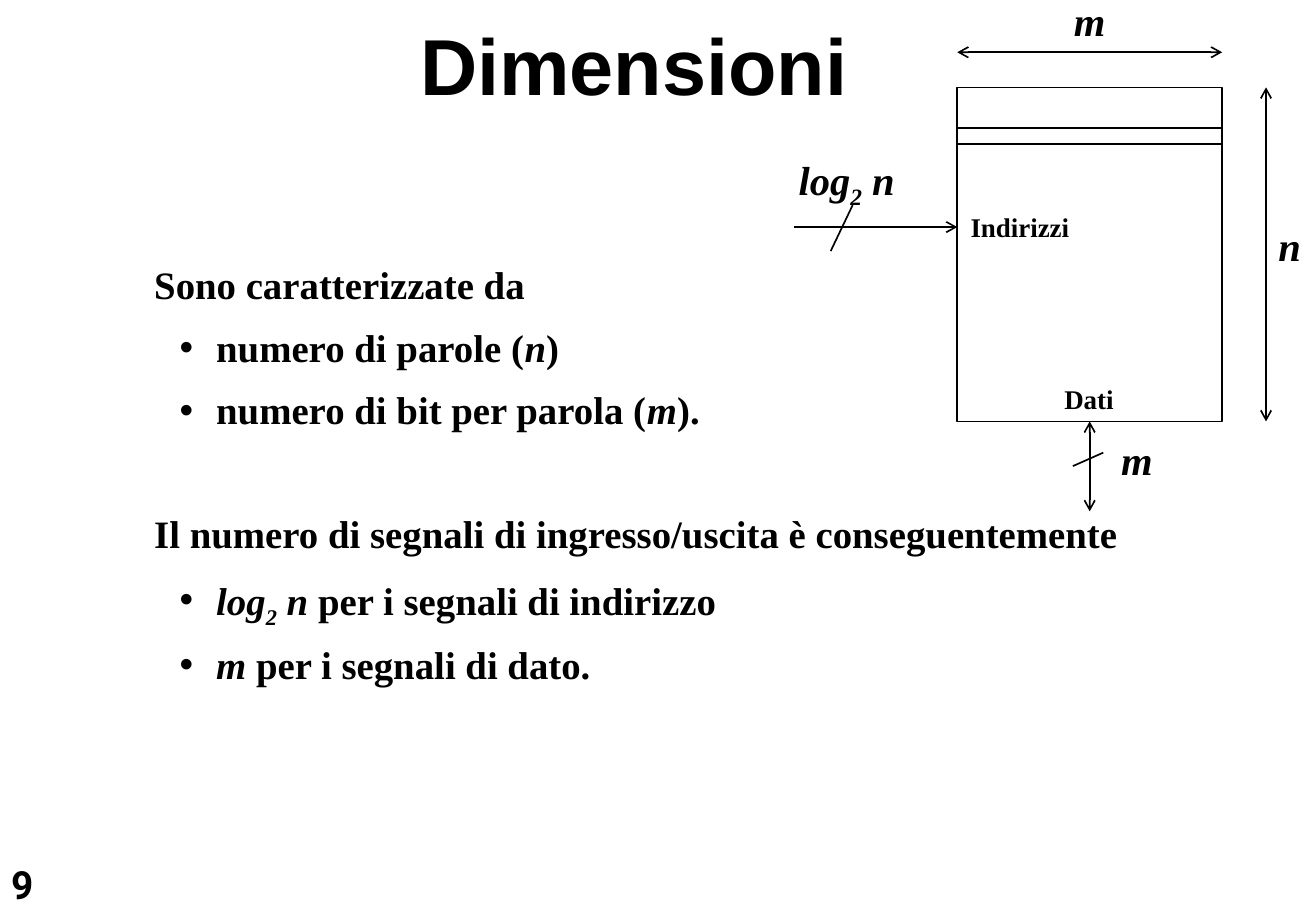
from lxml.etree import SubElement
from pptx import Presentation
from pptx.dml.color import RGBColor
from pptx.enum.shapes import MSO_CONNECTOR as Connector, MSO_SHAPE as Preset
from pptx.enum.text import MSO_ANCHOR as Anchor, MSO_AUTO_SIZE as AutoSize, PP_ALIGN as Align
from pptx.oxml.ns import qn
from pptx.util import Pt

BLACK = "000000"
SERIF = "Times New Roman"
LOG_N = [("log", "i"), ("2", "is"), (" n", "i")]


def paint(color_format, value):
    """Give a colour format the hex colour."""
    color_format.rgb = RGBColor.from_string(value)


def place(shape, left, top, width, height):
    """Move and size a shape in points."""
    shape.left, shape.top, shape.width, shape.height = map(Pt, (left, top, width, height))


def set_frame(frame, inset_x, inset_y, wrap):
    """Set the insets, wrapping and top anchor of a text frame."""
    frame.margin_left = frame.margin_right = Pt(inset_x)
    frame.margin_top = frame.margin_bottom = Pt(inset_y)
    frame.word_wrap = wrap
    frame.auto_size = AutoSize.NONE
    frame.vertical_anchor = Anchor.TOP


def write(paragraph, runs, size, face=SERIF, align=Align.CENTER):
    """Fill a bold paragraph with runs marked i (italic) and s (subscript)."""
    paragraph.alignment = align
    paragraph.font.name, paragraph.font.size, paragraph.font.bold = face, Pt(size), True
    paint(paragraph.font.color, BLACK)
    all_italic = all("i" in style for _, style in runs)
    paragraph.font.italic = all_italic
    for text, style in runs:
        run = paragraph.add_run()
        run.text = text
        if "i" in style and not all_italic:
            run.font.italic = True
        if "s" in style:
            run._r.get_or_add_rPr().set("baseline", "-25000")


def add_label(slide, box, runs, size, face=SERIF, insets=(7.2, 3.6), align=Align.CENTER):
    """Add a one-line text box."""
    label = slide.shapes.add_textbox(*map(Pt, box))
    set_frame(label.text_frame, *insets, False)
    write(label.text_frame.paragraphs[0], runs, size, face, align)


def add_line(slide, start, end, ends=()):
    """Add a thin straight line with open arrowheads at the named ends."""
    line = slide.shapes.add_connector(Connector.STRAIGHT, *map(Pt, (*start, *end)))
    line.line.width = Pt(1)
    paint(line.line.color, BLACK)
    outline = line.line._get_or_add_ln()
    for name in ends:
        SubElement(outline, qn(f"a:{name}"), type="arrow")
    SubElement(line._element.spPr, qn("a:effectLst"))
    return line


def add_frame(slide, left, top, width, height):
    """Add an unfilled rectangle with a thin outline."""
    frame = slide.shapes.add_shape(Preset.RECTANGLE, *map(Pt, (left, top, width, height)))
    frame.shadow.inherit = False
    frame.fill.background()
    frame.line.width = Pt(1)
    paint(frame.line.color, BLACK)
    return frame


def add_heading(slide, left, top, width, height):
    """Place the slide title."""
    title = slide.shapes.title
    place(title, left, top, width, height)
    set_frame(title.text_frame, 3.6, 1.8, False)
    write(title.text_frame.paragraphs[0], [("Dimensioni", "")], 47, "Arial")


def add_features(slide, left, top, width, height):
    """Place the list of memory characteristics and signals."""
    body = slide.placeholders[1]
    place(body, left, top, width, height)
    frame = body.text_frame
    set_frame(frame, 7.2, 3.6, True)
    features = [
        (0, 0, [("Sono caratterizzate da", "")]),
        (1, 12.3, [("numero di parole (", ""), ("n", "i"), (")", "")]),
        (1, 12.3, [("numero di bit per parola (", ""), ("m", "i"), (").", "")]),
        (0, 48.5, [("Il numero di segnali di ingresso/uscita è conseguentemente", "")]),
        (1, 12.3, [*LOG_N, (" per i segnali di indirizzo", "")]),
        (1, 12.3, [("m", "i"), (" per i segnali di dato.", "")]),
    ]
    for index, (level, gap, runs) in enumerate(features):
        paragraph = frame.add_paragraph() if index else frame.paragraphs[0]
        paragraph.level = level
        margin, indent = ((27.4, -27.4), (36.7, -21.6))[level]
        properties = paragraph._p.get_or_add_pPr()
        properties.set("marL", str(Pt(margin)))
        properties.set("indent", str(Pt(indent)))
        if level:
            SubElement(properties, qn("a:buChar"), char="•")
        else:
            SubElement(properties, qn("a:buNone"))
        paragraph.line_spacing = 0.9
        paragraph.space_before = Pt(gap)
        write(paragraph, runs, 23, align=Align.JUSTIFY)


def add_memory(slide, left, top, width, height):
    """Draw the memory with its dimensions, address input and data port."""
    right, bottom, middle = left + width, top + height, left + width / 2
    address_y, depth_x, span_y = top + 82.8, right + 26, top - 20.8
    both = ("headEnd", "tailEnd")

    memory = add_frame(slide, left, top, width, height)
    add_frame(slide, left, top + 24, width, 9.6)
    add_line(slide, (depth_x, top), (depth_x, bottom), both)
    add_line(slide, (left, span_y), (right, span_y), both)
    add_line(slide, (left - 96.5, address_y), (left, address_y), ("tailEnd",))
    add_line(slide, (left - 75, address_y + 14.2), (left - 62, address_y - 13))
    data = add_line(slide, (middle, bottom), (middle, bottom + 53.3), both)
    data.begin_connect(memory, 2)
    add_line(slide, (middle - 10, bottom + 26.5), (middle + 8, bottom + 18.5))

    add_label(slide, (right + 26, top + 75.6, 28, 36), [("n", "i")], 24)
    add_label(slide, (middle - 16.6, top - 57.6, 33, 36), [("m", "i")], 24)
    add_label(slide, (left - 102.3, top + 36.7, 73.4, 36), LOG_N, 24)
    add_label(slide, (middle + 11.5, bottom + 4.3, 33, 36), [("m", "i")], 24)
    add_label(slide, (left, address_y - 13.6, 74.2, 26.6), [("Indirizzi", "")], 16)
    add_label(slide, (middle - 22.4, bottom - 26.6, 44, 26.6), [("Dati", "")], 16)


def main():
    """Build and save the slide."""
    deck = Presentation()
    deck.slide_width, deck.slide_height = Pt(780), Pt(540)
    slide = deck.slides.add_slide(deck.slide_layouts[1])
    add_label(slide, (3, 508.3, 39, 31), [("9", "")], 23, "Roboto", (3.6, 1.8), Align.LEFT)
    add_heading(slide, 2.8, 8, 746, 59)
    add_features(slide, 84.2, 154, 610.6, 187.2)
    add_memory(slide, 567.4, 51.8, 157, 198)
    deck.save("out.pptx")


if __name__ == "__main__":
    main()
